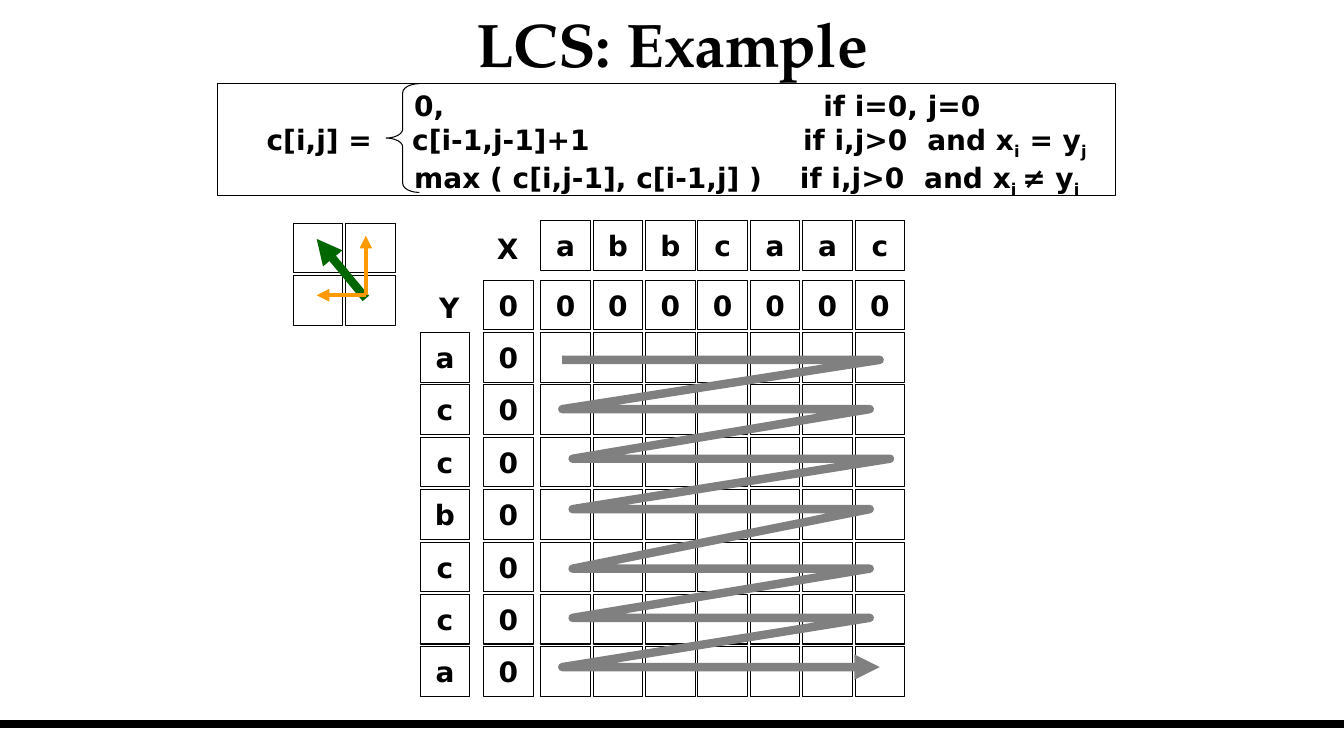
"""Build the slide that shows the fill order of an LCS table."""
from lxml import etree
from pptx import Presentation
from pptx import util as u
from pptx.dml.color import RGBColor
from pptx.enum import shapes, text
from pptx.oxml import ns

COLORS = {"ink": "000000", "diagonal": "006600", "step": "FF9900", "order": "808080"}
BODY_FONT, TITLE_FONT = "DejaVu Sans", "TeX Gyre Pagella"
CELL, PITCH = 1.25, 1.32
GRID_LEFT, GRID_TOP = 13.63, 7.06
ZERO_LEFT, Y_LEFT, X_TOP = 12.19, 10.59, 5.56
LEGEND_LEFT, LEGEND_TOP = 7.39, 5.63
X_WORD, Y_WORD = "abbcaac", "accbcca"
FORMULA = [
    ("\t0,\tif i=0, j=0", (4.7, 15.01)),
    ("\tc[i,j] =\tc[i-1,j-1]+1\tif i,j>0\tand x_i_ = y_j_", (0.98, 4.65, 14.5, 17.63)),
    ("\tmax ( c[i,j-1], c[i-1,j] )\tif i,j>0\tand x_i _≠ y_i_", (4.7, 14.42, 17.55)),
]
FILL_ORDER = [
    (14.17, 22.17, 9.07), (14.17, 21.92, 10.31), (14.43, 22.43, 11.56),
    (14.43, 21.92, 12.83), (14.43, 21.92, 14.33), (14.43, 21.92, 15.57),
    (14.17, 22.17, 16.81),
]


def style_line(line, color, width):
    line.color.rgb = RGBColor.from_string(COLORS[color])
    line.width = u.Pt(width)


def add_arrowhead(outlined):
    outline = outlined.line._get_or_add_ln()
    etree.SubElement(outline, ns.qn("a:round"))
    etree.SubElement(outline, ns.qn("a:tailEnd"), type="triangle")


def set_tabs(paragraph, tabs):
    stops = etree.SubElement(paragraph._p.get_or_add_pPr(), ns.qn("a:tabLst"))
    for stop in tabs:
        etree.SubElement(stops, ns.qn("a:tab"), pos=str(u.Cm(stop)), algn="l")


def write(paragraph, content, *, size=20, font=BODY_FONT, align=text.PP_ALIGN.LEFT, tabs=()):
    """Write bold text in which underscores enclose each subscript."""
    paragraph.alignment = align
    if tabs:
        set_tabs(paragraph, tabs)
    for index, part in enumerate(content.split("_")):
        if not part:
            continue
        run = paragraph.add_run()
        run.text = part
        run.font.size, run.font.name, run.font.bold = u.Pt(size), font, True
        run.font.color.rgb = RGBColor.from_string(COLORS["ink"])
        if index % 2:
            run._r.get_or_add_rPr().set("baseline", "-25000")


def add_outline(slide, preset, left, top, width, height):
    outline = slide.shapes.add_shape(preset, u.Cm(left), u.Cm(top), u.Cm(width), u.Cm(height))
    outline.shadow.inherit = False
    outline.fill.background()
    style_line(outline.line, "ink", 0.75)
    return outline


def add_cell(slide, left, top, content=""):
    cell = add_outline(slide, shapes.MSO_SHAPE.RECTANGLE, left, top, CELL, CELL)
    if content:
        cell.text_frame.word_wrap = False
        cell.text_frame.vertical_anchor = text.MSO_ANCHOR.MIDDLE
        write(cell.text_frame.paragraphs[0], content, align=text.PP_ALIGN.CENTER)


def add_label(slide, content, left, top, width, height, wrap=False, **style):
    label = slide.shapes.add_textbox(u.Cm(left), u.Cm(top), u.Cm(width), u.Cm(height))
    label.text_frame.word_wrap = wrap
    label.text_frame.vertical_anchor = text.MSO_ANCHOR.MIDDLE
    write(label.text_frame.paragraphs[0], content, **style)


def add_line(slide, start, end, color, width, arrow=True):
    line = slide.shapes.add_connector(shapes.MSO_CONNECTOR.STRAIGHT, *map(u.Cm, start + end))
    style_line(line.line, color, width)
    if arrow:
        add_arrowhead(line)
    etree.SubElement(line._element.spPr, ns.qn("a:effectLst"))


def add_table_cells(slide):
    columns = [GRID_LEFT + PITCH * i for i in range(len(X_WORD))]
    rows = [GRID_TOP + PITCH * (j + 1) for j in range(len(Y_WORD))]
    add_cell(slide, ZERO_LEFT, GRID_TOP, "0")
    for left, letter in zip(columns, X_WORD):
        add_cell(slide, left, X_TOP, letter)
        add_cell(slide, left, GRID_TOP, "0")
    for top, letter in zip(rows, Y_WORD):
        add_cell(slide, Y_LEFT, top, letter)
        add_cell(slide, ZERO_LEFT, top, "0")
        for left in columns:
            add_cell(slide, left, top)
    add_label(slide, "X", 12.27, 5.72, 1.04, 1.09)
    add_label(slide, "Y", 10.82, 7.19, 1.04, 1.09)


def add_legend(slide):
    for row in range(2):
        for column in range(2):
            add_cell(slide, LEGEND_LEFT + PITCH * column, LEGEND_TOP + PITCH * row)
    add_line(slide, (9.22, 7.52), (7.98, 6.02), "diagonal", 6)
    for end in ((9.22, 5.94), (7.98, 7.44)):
        add_line(slide, (9.22, 7.44), end, "step", 3)


def add_fill_order(slide):
    turns = [(u.Cm(x), u.Cm(y)) for left, right, y in FILL_ORDER for x in (left, right)]
    builder = slide.shapes.build_freeform(*turns[0])
    builder.add_line_segments(turns[1:], close=False)
    zigzag = builder.convert_to_shape()
    zigzag.shadow.inherit = False
    zigzag.fill.background()
    style_line(zigzag.line, "order", 6)
    add_arrowhead(zigzag)


def add_formula(slide):
    box = add_outline(slide, shapes.MSO_SHAPE.RECTANGLE, 5.49, 2.11, 22.63, 2.82)
    frame = box.text_frame
    frame.word_wrap = False
    frame.auto_size = text.MSO_AUTO_SIZE.SHAPE_TO_FIT_TEXT
    frame.vertical_anchor = text.MSO_ANCHOR.TOP
    for index, (content, tabs) in enumerate(FORMULA):
        paragraph = frame.add_paragraph() if index else frame.paragraphs[0]
        write(paragraph, content, tabs=tabs)
    brace = add_outline(slide, shapes.MSO_SHAPE.LEFT_BRACE, 9.73, 2.11, 0.84, 2.74)
    brace.adjustments[0] = 0.27


def main():
    deck = Presentation()
    deck.slide_width, deck.slide_height = u.Cm(33.87), u.Cm(19.05)
    slide = deck.slides.add_slide(deck.slide_layouts[6])
    add_line(slide, (0, 18.24), (33.87, 18.24), "ink", 6, arrow=False)
    add_table_cells(slide)
    add_legend(slide)
    add_fill_order(slide)
    add_label(slide, "LCS: Example", 4.37, 0.18, 25.15, 1.78, wrap=True,
              size=44, font=TITLE_FONT, align=text.PP_ALIGN.CENTER)
    add_formula(slide)
    deck.save("out.pptx")


if __name__ == "__main__":
    main()
